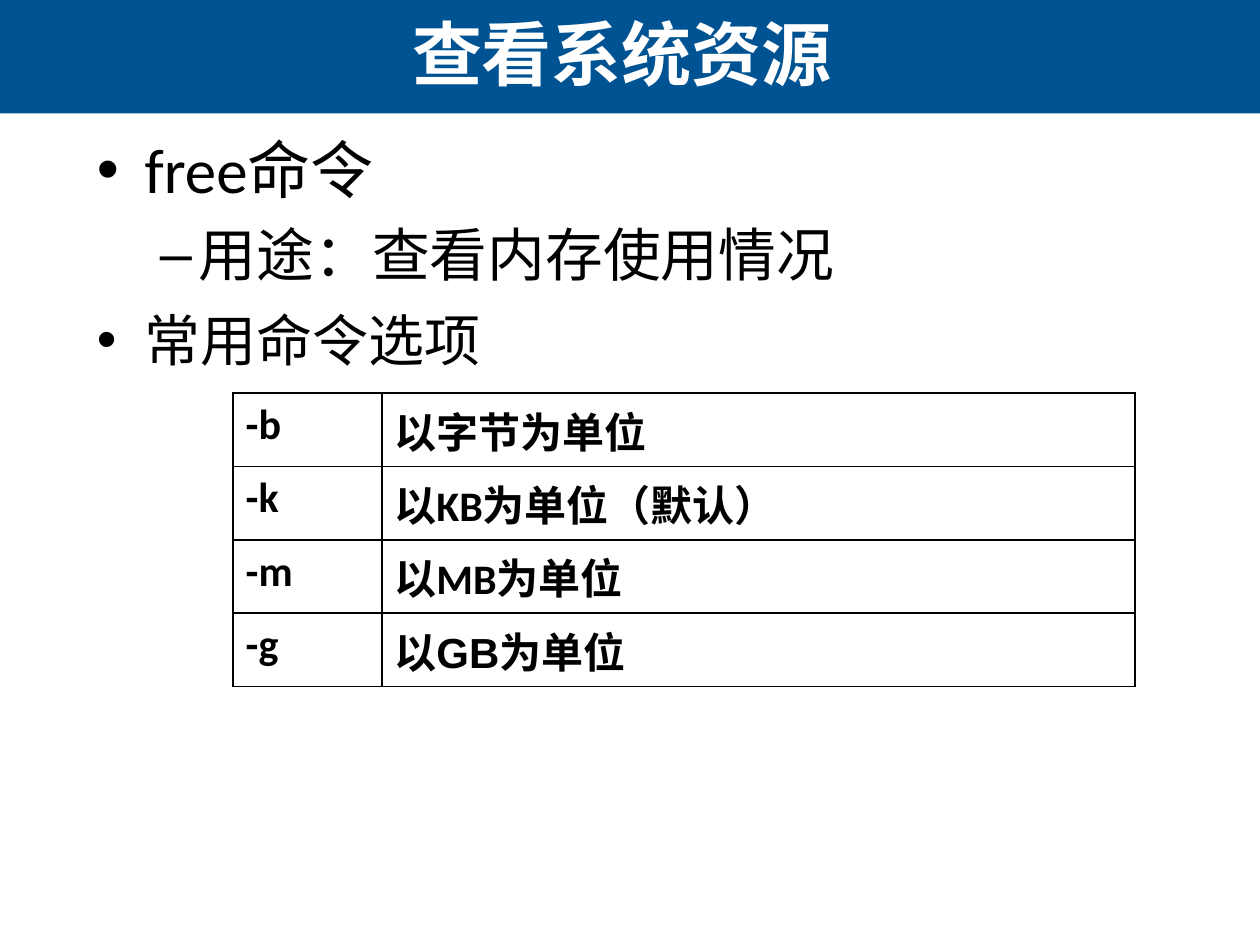
from dataclasses import dataclass

from lxml import etree
from pptx import Presentation
from pptx import util as u
from pptx.dml.color import RGBColor
from pptx.enum import shapes, text
from pptx.oxml.ns import qn


@dataclass(frozen=True)
class Theme:
    band: str = "005392"
    light: str = "FFFFFF"
    dark: str = "000000"
    latin: str = "Calibri"
    heading: str = "Arial"
    title_size: int = 40
    topic_size: int = 36
    detail_size: int = 33
    option_size: int = 32
    cell_size: int = 24
    border_width: int = 1


def set_values(target, values):
    for name, value in values.items():
        setattr(target, name, value)


def box(left, top, width, height):
    names = ("left", "top", "width", "height")
    return dict(zip(names, map(u.Inches, (left, top, width, height))))


class SlideBuilder:
    def __init__(self, slide, theme):
        self.slide = slide
        self.theme = theme

    def format_run(self, run, size, color, name, bold=False):
        set_values(run.font, {"size": u.Pt(size), "name": name, "bold": bold})
        run.font.color.rgb = RGBColor.from_string(color)

    def add_band(self, **area):
        band = self.slide.shapes.add_shape(shapes.MSO_SHAPE.RECTANGLE, **area)
        band.shadow.inherit = False
        band.fill.solid()
        band.fill.fore_color.rgb = RGBColor.from_string(self.theme.band)
        band.line.fill.background()
        self.slide.shapes.title.element.addprevious(band.element)

    def add_title(self, wording, **area):
        title = self.slide.shapes.title
        set_values(title, area)
        frame = title.text_frame
        set_values(frame, {"word_wrap": True,
                           "auto_size": text.MSO_AUTO_SIZE.NONE,
                           "vertical_anchor": text.MSO_ANCHOR.MIDDLE})
        paragraph = frame.paragraphs[0]
        paragraph.alignment = text.PP_ALIGN.CENTER
        run = paragraph.add_run()
        run.text = wording
        self.format_run(run, self.theme.title_size, self.theme.light,
                        self.theme.heading, True)

    def add_bullets(self, items, **area):
        frame = self.slide.shapes.add_textbox(**area).text_frame
        frame.word_wrap = True
        for index, (wording, size, bullet, margin, hanging, spacing) in enumerate(items):
            paragraph = frame.add_paragraph() if index else frame.paragraphs[0]
            set_values(paragraph, {"line_spacing": spacing,
                                   "space_before": u.Pt(round(size * 0.2))})
            run = paragraph.add_run()
            run.text = wording
            self.format_run(run, size, self.theme.dark, self.theme.latin)
            properties = paragraph._p.get_or_add_pPr()
            properties.set("marL", str(u.Inches(margin)))
            properties.set("indent", str(-u.Inches(hanging)))
            etree.SubElement(properties, qn("a:buFont"), typeface="Arial")
            etree.SubElement(properties, qn("a:buChar"), char=bullet)

    def add_borders(self, cell):
        properties = cell._tc.get_or_add_tcPr()
        for side in ("a:lnL", "a:lnR", "a:lnT", "a:lnB"):
            line = etree.SubElement(properties, qn(side),
                                    w=str(u.Pt(self.theme.border_width)))
            fill = etree.SubElement(line, qn("a:solidFill"))
            etree.SubElement(fill, qn("a:srgbClr"), val=self.theme.dark)

    def add_table(self, rows, column_widths, **area):
        table = self.slide.shapes.add_table(
            len(rows), len(column_widths), **area).table
        set_values(table, {"first_row": False, "horz_banding": False})
        for column, width in zip(table.columns, column_widths):
            column.width = u.Inches(width)
        for row_index, entries in enumerate(rows):
            for column_index, (wording, name) in enumerate(entries):
                cell = table.cell(row_index, column_index)
                self.add_borders(cell)
                cell.fill.background()
                run = cell.text_frame.paragraphs[0].add_run()
                run.text = wording
                self.format_run(run, self.theme.cell_size, self.theme.dark,
                                name, True)


def main():
    theme = Theme()
    presentation = Presentation()
    set_values(presentation, {"slide_width": u.Inches(10),
                              "slide_height": u.Inches(7.5)})
    slide = presentation.slides.add_slide(presentation.slide_layouts[5])
    builder = SlideBuilder(slide, theme)
    builder.add_band(**box(0, 0, 10, 0.9))
    builder.add_bullets([
        ("free命令", theme.topic_size, "•", 0.38, 0.38, 1.0),
        ("用途：查看内存使用情况", theme.detail_size, "–", 0.81, 0.31, 1.0),
        ("常用命令选项", theme.option_size, "•", 0.38, 0.38, 1.1),
    ], **box(0.67, 0.99, 9, 4.95))
    builder.add_title("查看系统资源", **box(0, -0.03, 9.87, 0.9))
    options = [
        ("-b", "以字节为单位", theme.latin),
        ("-k", "以KB为单位（默认）", theme.latin),
        ("-m", "以MB为单位", theme.latin),
        ("-g", "以GB为单位", theme.heading),
    ]
    rows = [((option, theme.latin), (meaning, name))
            for option, meaning, name in options]
    builder.add_table(rows, (1.18, 5.98), **box(1.85, 3.12, 7.16, 2.33))
    presentation.save("out.pptx")


if __name__ == "__main__":
    main()
